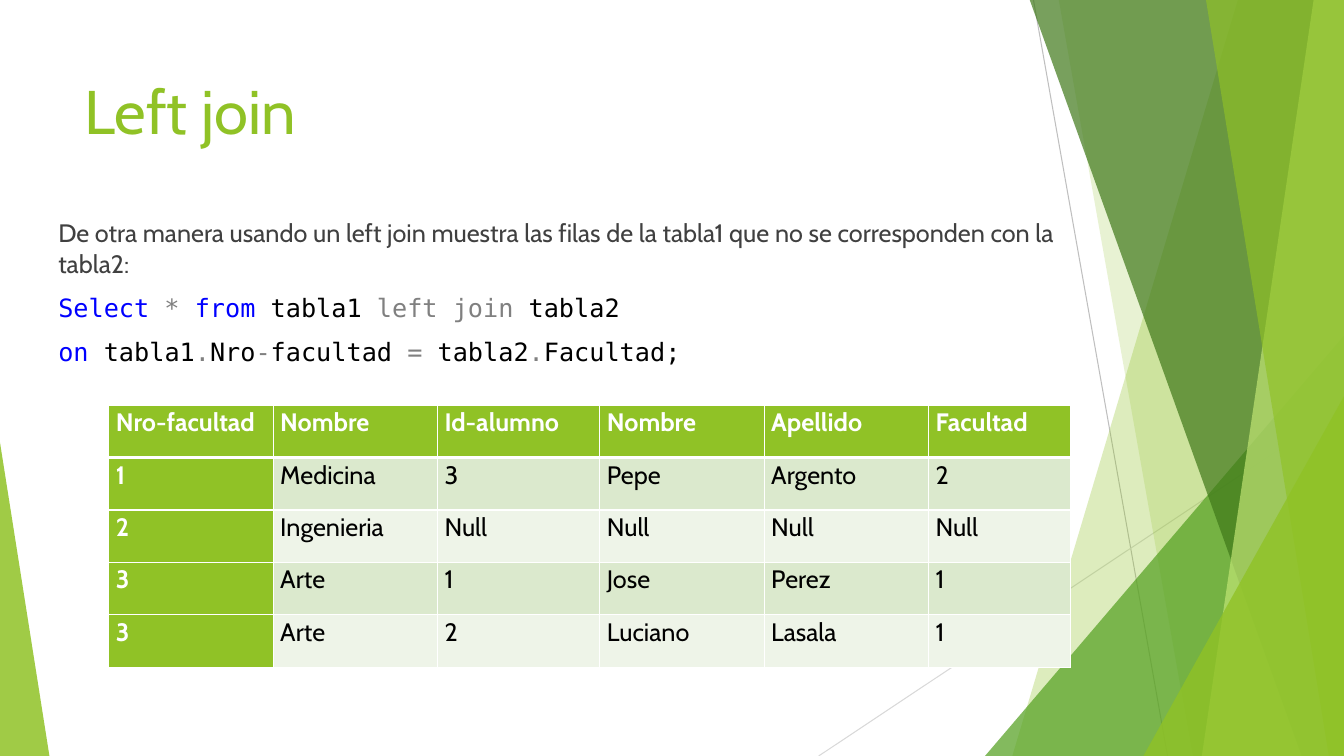
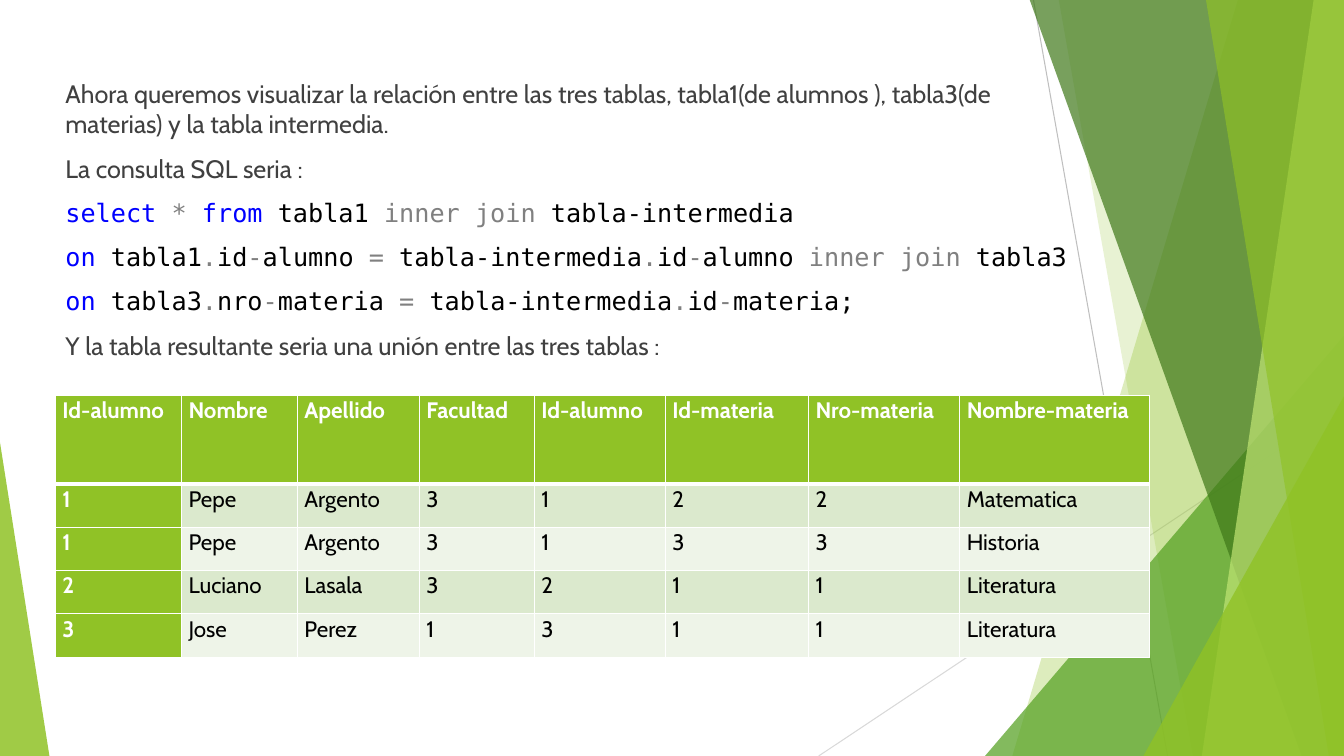
import lxml.etree
import pptx
import pptx.dml.color
import pptx.enum.shapes
import pptx.oxml.ns
import pptx.util

Inches = pptx.util.Inches
Pt = pptx.util.Pt
qn = pptx.oxml.ns.qn

WIDTH, HEIGHT, TOP = 13.33, 7.5, -0.01
GREEN, LEAF, FOREST, LIME = "90C226", "54A021", "3F7819", "C0E474"
WHITE, BLACK, BODY = "FFFFFF", "000000", "404040"
BLUE, GREY = "0000FF", "808080"
BANDS = ("DBE9CD", "EEF4E8")
FONT, MONO = "Cabin", "DejaVu Sans Mono"
SQL_COLORS = {
    **dict.fromkeys(("select", "from", "on"), BLUE),
    **dict.fromkeys(("inner", "left", "join", "*", ".", "-", "="), GREY),
}

RAYS = [((10.25, 0), (11.58, HEIGHT), "BFBFBF"), ((WIDTH, 4.03), (8.12, HEIGHT), "D9D9D9")]
FACETS = [
    ("band", (12.28, 10.04), GREEN, 30),
    ("band", (10.5, 11.83), GREEN, 20),
    ("triangle", (9.77, 3.33, 3.56, 1), LEAF, 72),
    ("band", (10.21, 12.91), FOREST, 70),
    ("band", (13.03, 11.92), LIME, 70),
    ("band", (11.96, 13.18), GREEN, 65),
    ("triangle", (11.34, 3.93, 1.99, 1), GREEN, 80),
    ("triangle", (0, 4.39, 0.49, 0), GREEN, 85),
]

JOIN_QUERY = [
    "De otra manera usando un left join muestra las filas de la tabla1 que no se corresponden con la tabla2:",
    "Select| |*| |from| tabla1 |left| |join| tabla2",
    "on| tabla1|.|Nro|-|facultad |=| tabla2|.|Facultad;",
]
JOIN_ROWS = [
    ("Nro-facultad", "Nombre", "Id-alumno", "Nombre", "Apellido", "Facultad"),
    ("1", "Medicina", "3", "Pepe", "Argento", "2"),
    ("2", "Ingenieria", "Null", "Null", "Null", "Null"),
    ("3", "Arte", "1", "Jose", "Perez", "1"),
    ("3", "Arte", "2", "Luciano", "Lasala", "1"),
]
UNION_QUERY = [
    "Ahora queremos visualizar la relación entre las tres tablas, tabla1(de alumnos ), "
    "tabla3(de materias) y la tabla intermedia.",
    "La consulta SQL seria :",
    "select| |*| |from| tabla1 |inner| |join| tabla-intermedia",
    "on| tabla1|.|id|-|alumno |=| tabla-intermedia|.|id|-|alumno |inner| |join| tabla3",
    "on| tabla3|.|nro|-|materia |=| tabla-intermedia|.|id|-|materia;",
    "Y la tabla resultante seria una unión entre las tres tablas :",
]
UNION_ROWS = [
    ("Id-alumno", "Nombre", "Apellido", "Facultad", "Id-alumno", "Id-materia", "Nro-materia", "Nombre-materia"),
    ("1", "Pepe", "Argento", "3", "1", "2", "2", "Matematica"),
    ("1", "Pepe", "Argento", "3", "1", "3", "3", "Historia"),
    ("2", "Luciano", "Lasala", "3", "2", "1", "1", "Literatura"),
    ("3", "Jose", "Perez", "1", "3", "1", "1", "Literatura"),
]


def rgb(color):
    """Turn a hex string into a colour."""
    return pptx.dml.color.RGBColor.from_string(color)


def set_font(font, size, color, name=FONT, bold=False):
    """Set size, colour, typeface and weight of a font."""
    font.size, font.name, font.bold = Pt(size), name, bold
    font.color.rgb = rgb(color)


def add_hex(parent, tag, color):
    """Append an element that holds one colour."""
    child = lxml.etree.SubElement(parent, qn(tag))
    lxml.etree.SubElement(child, qn("a:srgbClr")).set("val", color)
    return child


def add_ray(slide, start, end, color):
    """Draw one thin background line."""
    line = slide.shapes.add_connector(
        pptx.enum.shapes.MSO_CONNECTOR.STRAIGHT, *(Inches(v) for v in start + end))
    line.line.color.rgb, line.line.width = rgb(color), Pt(0.75)
    lxml.etree.SubElement(line._element.spPr, qn("a:effectLst"))


def add_band(slide, top_x, bottom_x):
    """Draw a band from a slanted left edge to the right of the slide."""
    points = [(top_x, TOP), (WIDTH, TOP), (WIDTH, HEIGHT), (bottom_x, HEIGHT)]
    points = [(Inches(x), Inches(y)) for x, y in points]
    builder = slide.shapes.build_freeform(*points[0])
    builder.add_line_segments(points[1:], close=True)
    return builder.convert_to_shape()


def add_triangle(slide, left, top, width, apex):
    """Draw a triangle that stands on the bottom of the slide."""
    sp = slide.shapes.add_shape(
        pptx.enum.shapes.MSO_SHAPE.ISOSCELES_TRIANGLE,
        Inches(left), Inches(top), Inches(width), Inches(HEIGHT - top))
    sp.adjustments[0] = apex
    return sp


def add_backdrop(slide):
    """Draw the lines and translucent facets that every slide shares."""
    for ray in RAYS:
        add_ray(slide, *ray)
    draw = {"band": add_band, "triangle": add_triangle}
    for kind, place, color, opacity in FACETS:
        sp = draw[kind](slide, *place)
        sp.shadow.inherit = False
        sp.fill.solid()
        sp.fill.fore_color.rgb = rgb(color)
        sp.line.fill.background()
        tint = next(sp._element.spPr.iter(qn("a:srgbClr")))
        lxml.etree.SubElement(tint, qn("a:alpha")).set("val", str(opacity * 1000))


def add_text_frame(slide, box):
    """Add a wrapping text box and return its text frame."""
    tf = slide.shapes.add_textbox(*(Inches(v) for v in box)).text_frame
    tf.word_wrap = True
    return tf


def add_title(slide, box, text):
    """Write the slide title."""
    p = add_text_frame(slide, box).paragraphs[0]
    p.text = text
    set_font(p.font, 44, GREEN)


def add_body(slide, box, lines):
    """Write prose and SQL lines; bars separate the SQL tokens."""
    tf = add_text_frame(slide, box)
    for i, line in enumerate(lines):
        p = tf.paragraphs[0] if i == 0 else tf.add_paragraph()
        p.space_before = Pt(10)
        if "|" not in line:
            p.text = line
            set_font(p.font, 18, BODY)
            continue
        set_font(p.font, 18, BLACK, MONO)
        for token in line.split("|"):
            r = p.add_run()
            r.text = token
            r.font.color.rgb = rgb(SQL_COLORS.get(token.lower(), BLACK))
            add_hex(r._r.get_or_add_rPr(), "a:highlight", WHITE)


def style_cell(cell, row, col, size):
    """Style a cell by its place: green first row and column, banded rest."""
    heading = row == 0 or col == 0
    cell.margin_left = cell.margin_right = Inches(0.07)
    cell.margin_top = cell.margin_bottom = 0
    p = cell.text_frame.paragraphs[0]
    p.line_spacing = 1.07
    set_font(p.font, size, WHITE if heading else BLACK, bold=heading)
    props = cell._tc.get_or_add_tcPr()
    thick = {(0, "B"), (1, "T")}
    for side in "LRTB":
        line = add_hex(props, f"a:ln{side}", WHITE)
        line.set("w", str(Pt(3 if (row, side) in thick else 1)))
        fill = lxml.etree.SubElement(line, qn("a:solidFill"))
        fill.append(line[0])
    cell.fill.solid()
    cell.fill.fore_color.rgb = rgb(GREEN if heading else BANDS[(row - 1) % 2])


def add_result_table(slide, left, top, widths, heights, rows, size):
    """Add the table of rows that a query returns."""
    table = slide.shapes.add_table(
        len(rows), len(widths), Inches(left), Inches(top),
        Inches(sum(widths)), Inches(sum(heights))).table
    for column, width in zip(table.columns, widths):
        column.width = Inches(width)
    for i, (values, height) in enumerate(zip(rows, heights)):
        table.rows[i].height = Inches(height)
        for j, value in enumerate(values):
            cell = table.cell(i, j)
            cell.text = value
            style_cell(cell, i, j, size)


def add_slide(prs):
    """Add a blank slide with the shared backdrop."""
    slide = prs.slides.add_slide(prs.slide_layouts[6])
    add_backdrop(slide)
    return slide


def main():
    """Build and save the presentation."""
    prs = pptx.Presentation()
    prs.slide_width, prs.slide_height = Inches(WIDTH), Inches(HEIGHT)

    s = add_slide(prs)
    add_title(s, (0.74, 0.67, 9.4, 1.44), "Left join")
    add_body(s, (0.48, 2.11, 10.57, 4.24), JOIN_QUERY)
    add_result_table(s, 1.08, 4.02, [1.63, 1.63, 1.61, 1.63, 1.63, 1.41], [0.52] * 5, JOIN_ROWS, 18)

    s = add_slide(prs)
    add_body(s, (0.55, 0.73, 10.32, 4.24), UNION_QUERY)
    add_result_table(s, 0.55, 3.92, [1.25, 1.15, 1.21, 1.14, 1.3, 1.42, 1.5, 1.88],
                     [0.88] + [0.43] * 4, UNION_ROWS, 16)

    prs.save("out.pptx")


if __name__ == "__main__":
    main()
